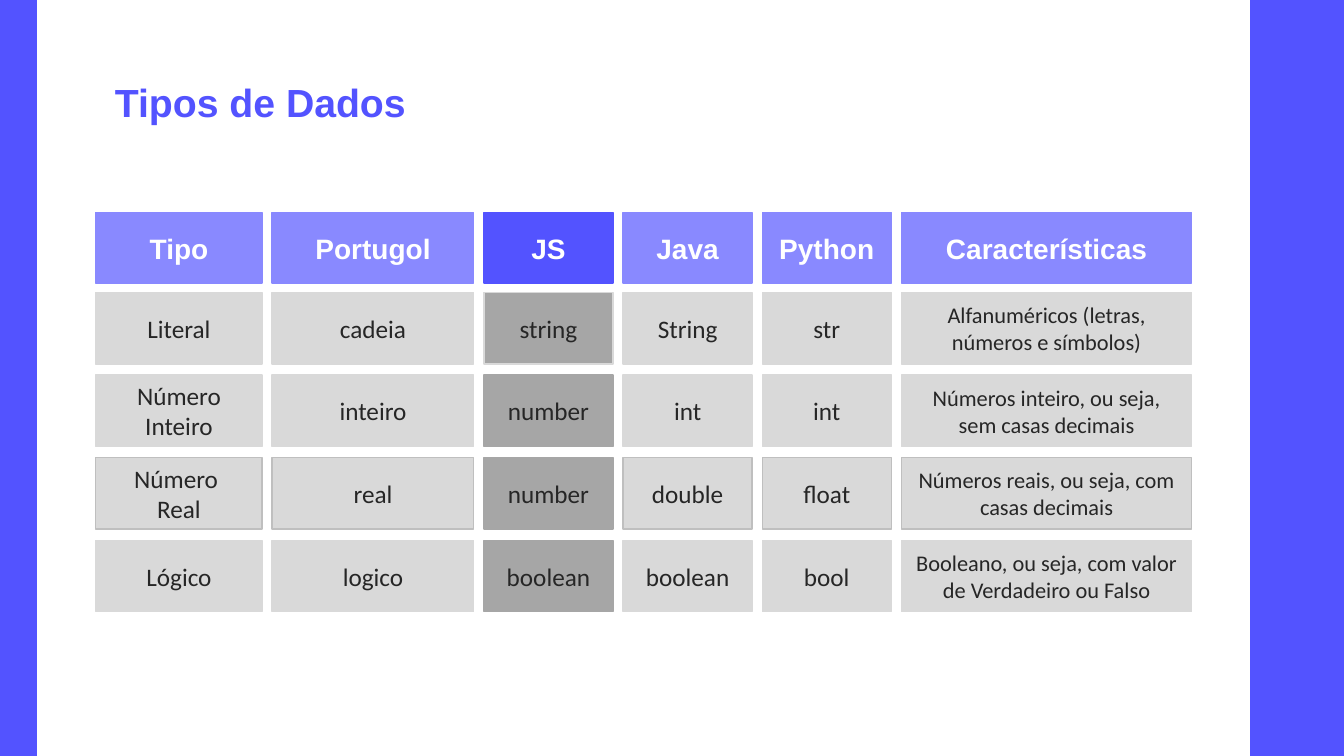
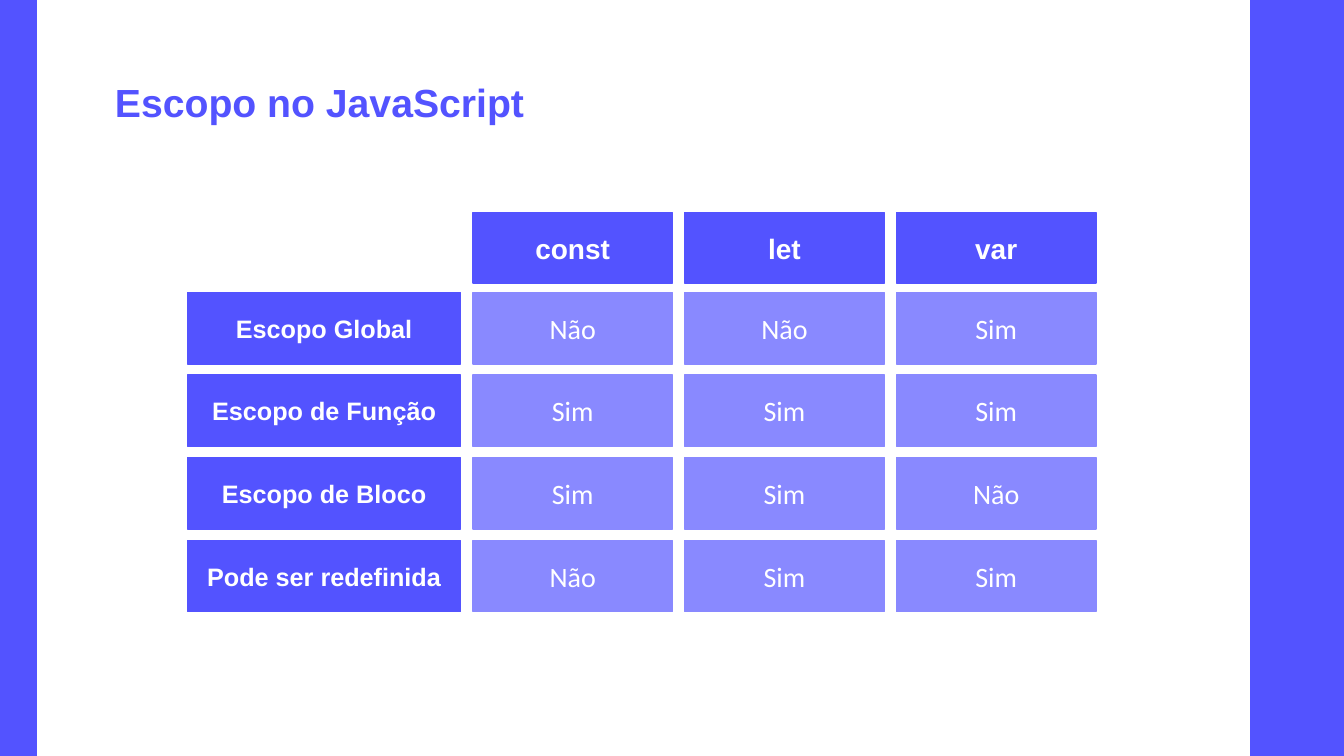
from pptx import Presentation
from pptx.dml.color import RGBColor
from pptx.enum.shapes import MSO_SHAPE
from pptx.enum.text import MSO_ANCHOR, MSO_AUTO_SIZE, PP_ALIGN
from pptx.util import Inches, Pt

RECTANGLE = MSO_SHAPE.RECTANGLE
MIDDLE, BOTTOM = MSO_ANCHOR.MIDDLE, MSO_ANCHOR.BOTTOM
LEFT, CENTER = PP_ALIGN.LEFT, PP_ALIGN.CENTER
NO_AUTOFIT = MSO_AUTO_SIZE.NONE

BLUE = RGBColor(0x53, 0x53, 0xFF)
LIGHT_BLUE = RGBColor(0x89, 0x89, 0xFF)
WHITE = RGBColor(0xFF, 0xFF, 0xFF)
INK = RGBColor(0x26, 0x26, 0x26)
LIGHT_GRAY = RGBColor(0xD9, 0xD9, 0xD9)
BORDER_GRAY = RGBColor(0xBF, 0xBF, 0xBF)
DARK_GRAY = RGBColor(0xA6, 0xA6, 0xA6)

HEADING_FONT, BODY_FONT = "Arial", "Calibri"
HEADER_TOP, HEADER_HEIGHT = 2.11, 0.7
FIRST_ROW_TOP, ROW_STEP, ROW_HEIGHT = 2.9, 0.82, 0.71
BANDS = [(-0.01, 0.37), (12.4, 0.94)]

TYPE_WIDTHS = [1.65, 2, 1.28, 1.28, 1.28, 2.88]
TYPE_GAP = 0.1
TYPE_HEADERS = ["Tipo", "Portugol", "JS", "Java", "Python", "Características"]
TYPE_ROWS = [
    ["Literal", "cadeia", "string", "String", "str",
     "Alfanuméricos (letras, números e símbolos)"],
    ["Número Inteiro", "inteiro", "number", "int", "int",
     "Números inteiro, ou seja, sem casas decimais"],
    ["Número \vReal", "real", "number", "double", "float",
     "Números reais, ou seja, com casas decimais"],
    ["Lógico", "logico", "boolean", "boolean", "bool",
     "Booleano, ou seja, com valor de Verdadeiro ou Falso"],
]
JS_COLUMN, FEATURE_COLUMN = 2, 5
OUTLINED_ROW = 2

SCOPE_WIDTHS = [2.71, 1.98, 1.98, 1.98]
SCOPE_GAP = 0.12
SCOPE_HEADERS = ["const", "let", "var"]
SCOPE_ROWS = [
    ["Escopo Global", "Não", "Não", "Sim"],
    ["Escopo de Função", "Sim", "Sim", "Sim"],
    ["Escopo de Bloco", "Sim", "Sim", "Não"],
    ["Pode ser redefinida", "Não", "Sim", "Sim"],
]


def style_paragraph(para, text, font_name, size, color, bold, align):
    para.text = text
    para.alignment = align
    para.font.name = font_name
    para.font.size = Pt(size)
    para.font.bold = bold
    para.font.color.rgb = color


def add_box(page, left, top, width, height, fill, line=None, text="",
            font_name=HEADING_FONT, size=20, color=WHITE):
    box = page.shapes.add_shape(RECTANGLE, Inches(left), Inches(top),
                                Inches(width), Inches(height))
    box.shadow.inherit = False
    box.fill.solid()
    box.fill.fore_color.rgb = fill
    box.line.color.rgb = line or fill
    box.line.width = Pt(1)
    if text:
        box.text_frame.word_wrap = True
        box.text_frame.vertical_anchor = MIDDLE
        style_paragraph(box.text_frame.paragraphs[0], text, font_name, size,
                        color, font_name == HEADING_FONT, CENTER)


deck = Presentation()
deck.slide_width = Inches(13.33)
deck.slide_height = Inches(7.5)
title_only = deck.slide_layouts[5]

pages = []
for heading in ["Tipos de Dados", "Escopo no JavaScript"]:
    page = deck.slides.add_slide(title_only)
    for left, width in BANDS:
        add_box(page, left, 0, width, 7.5, BLUE)
    title = page.shapes.title
    title.left, title.top = Inches(1.04), Inches(0.78)
    title.width, title.height = Inches(6.47), Inches(0.56)
    frame = title.text_frame
    frame.margin_left = frame.margin_right = Inches(0.1)
    frame.margin_top = frame.margin_bottom = Inches(0.1)
    frame.vertical_anchor = BOTTOM
    frame.auto_size = NO_AUTOFIT
    frame.word_wrap = True
    style_paragraph(frame.paragraphs[0], heading, HEADING_FONT, 28, BLUE, True, LEFT)
    pages.append(page)
types_page, scope_page = pages

left = 0.95
for column, width in enumerate(TYPE_WIDTHS):
    is_js = column == JS_COLUMN
    add_box(types_page, left, HEADER_TOP, width, HEADER_HEIGHT,
            BLUE if is_js else LIGHT_BLUE, text=TYPE_HEADERS[column])
    size = 16 if column == FEATURE_COLUMN else 18
    for row, cells in enumerate(TYPE_ROWS):
        fill = DARK_GRAY if is_js else LIGHT_GRAY
        line = BORDER_GRAY if row == OUTLINED_ROW and not is_js else fill
        if is_js and row == 0:
            line = LIGHT_GRAY
        add_box(types_page, left, FIRST_ROW_TOP + row * ROW_STEP, width, ROW_HEIGHT,
                fill, line, cells[column], BODY_FONT, size, INK)
    left += width + TYPE_GAP

left = 1.86
for column, width in enumerate(SCOPE_WIDTHS):
    is_label = column == 0
    if not is_label:
        add_box(scope_page, left, HEADER_TOP, width, HEADER_HEIGHT, BLUE,
                text=SCOPE_HEADERS[column - 1])
    fill = BLUE if is_label else LIGHT_BLUE
    font_name = HEADING_FONT if is_label else BODY_FONT
    size = 18 if is_label else 20
    for row, cells in enumerate(SCOPE_ROWS):
        add_box(scope_page, left, FIRST_ROW_TOP + row * ROW_STEP, width, ROW_HEIGHT,
                fill, text=cells[column], font_name=font_name, size=size)
    left += width + SCOPE_GAP

deck.save("out.pptx")
